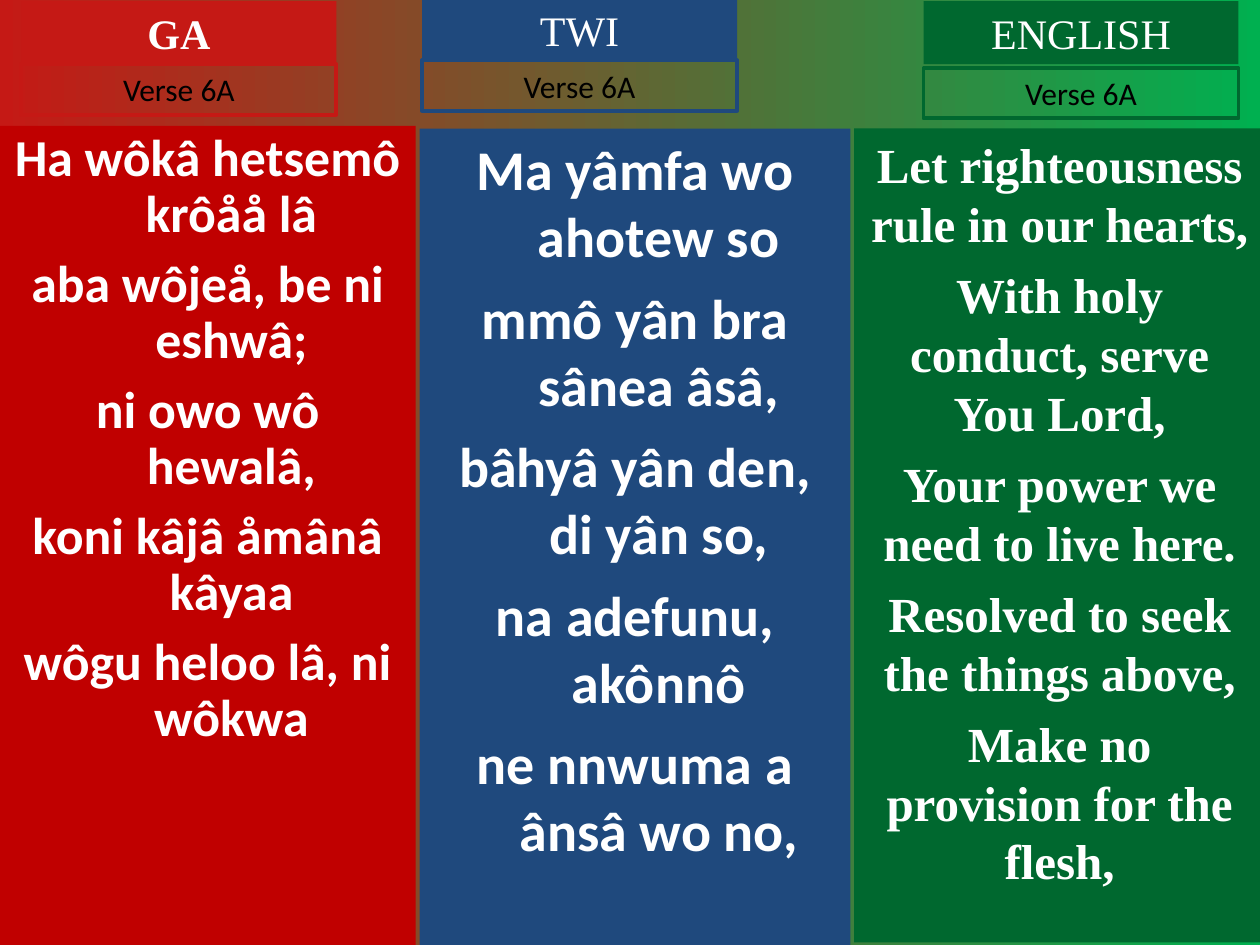
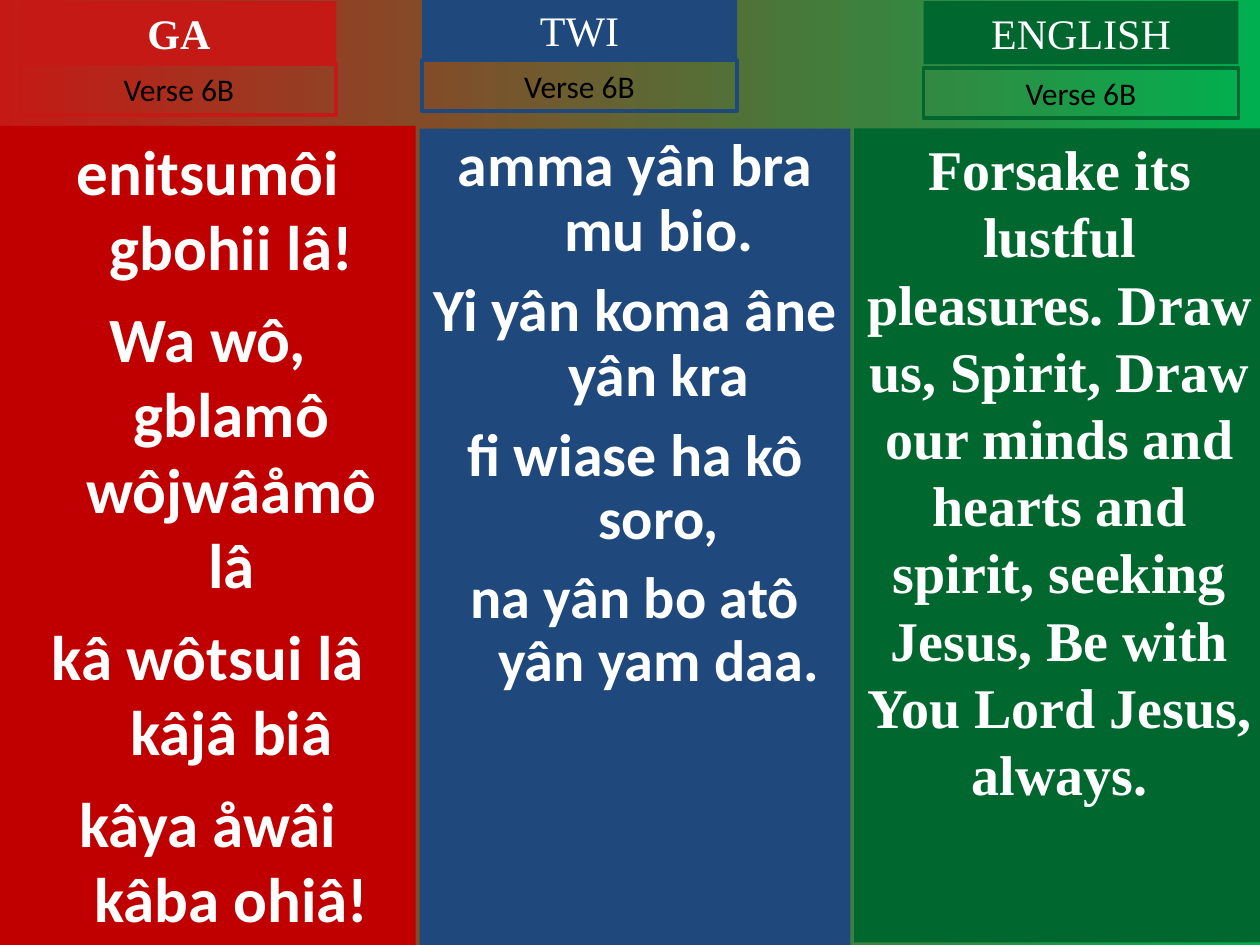
"""Build two trilingual hymn slides with one coloured column per language."""
import dataclasses

import pptx
import pptx.dml.color
import pptx.enum.shapes
import pptx.enum.text
import pptx.util

Pt = pptx.util.Pt


@dataclasses.dataclass(frozen=True)
class Theme:
    """Colours, fonts and type sizes shared by both slides."""
    bright_red: str = "C51915"
    red: str = "C00000"
    blue: str = "1F497D"
    green: str = "00682F"
    bright_green: str = "00B050"
    white: str = "FFFFFF"
    black: str = "000000"
    sans: str = "Calibri"
    serif: str = "Times New Roman"
    heading_size: float = 24
    label_size: float = 18
    border: float = 2.25
    hanging: float = 27


@dataclasses.dataclass(frozen=True)
class Language:
    """Place and look of one language's heading, label and lyrics column."""
    name: str
    accent: str
    column_fill: str
    font: str
    heading_at: tuple
    label_top: float
    column_at: tuple
    bold_heading: bool = False
    hanging: bool = True


@dataclasses.dataclass(frozen=True)
class Lyrics:
    """Lines of one column; a line is a string or a list of (text, size) runs."""
    size: float
    before: float
    lines: list
    spacing: float = 1.0


THEME = Theme()
BAR_WIDTH, HEADING_HEIGHT, LABEL_HEIGHT = 180, 36, 28.8

LANGUAGES = [
    Language("GA", THEME.bright_red, THEME.red, THEME.sans,
             (12.24, 0.72), 36.72, (0, 72, 237.6, 468), bold_heading=True),
    Language("TWI", THEME.blue, THEME.blue, THEME.sans,
             (241.2, -0.72), 34.56, (239.76, 73.44, 246.24, 466.56)),
    Language("ENGLISH", THEME.green, THEME.green, THEME.serif,
             (527.76, 0.72), 38.88, (488.16, 73.44, 234.72, 465.12), hanging=False),
]

VERSES = {
    "Verse 6A": [
        Lyrics(29.6, 8, [
            "Ha wôkâ hetsemô krôåå lâ",
            "aba wôjeå, be ni eshwâ;",
            "ni owo wô hewalâ,",
            "koni kâjâ åmânâ kâyaa",
            "wôgu heloo lâ, ni wôkwa",
        ], spacing=0.9),
        Lyrics(32, 8, [
            "Ma yâmfa wo ahotew so",
            "mmô yân bra sânea âsâ,",
            "bâhyâ yân den, di yân so,",
            "na adefunu, akônnô",
            "ne nnwuma a ânsâ wo no,",
        ]),
        Lyrics(28, 7, [
            "Let righteousness rule in our hearts,",
            "With holy conduct, serve You Lord,",
            "Your power we need to live here.",
            "Resolved to seek the things above,",
            "Make no provision for the flesh,",
        ]),
    ],
    "Verse 6B": [
        Lyrics(36, 9, [
            "enitsumôi gbohii lâ!",
            "Wa wô, gblamô wôjwâåmô lâ",
            "kâ wôtsui lâ kâjâ biâ",
            "kâya åwâi kâba ohiâ!",
        ]),
        Lyrics(34.2, 9, [
            "amma yân bra mu bio.",
            "Yi yân koma âne yân kra",
            [("fi wiase ha ", 34.2), ("kô soro,", 33.3)],
            [("na yân bo atô yân yam daa.", 33.3)],
        ], spacing=0.9),
        Lyrics(32, 8, [
            "Forsake its lustful pleasures. Draw us, Spirit, Draw our minds and "
            "hearts and spirit, seeking Jesus, Be with You Lord Jesus, always.",
        ]),
    ],
}


def rgb(color):
    """Return the RGB colour for a hex string."""
    return pptx.dml.color.RGBColor.from_string(color)


def set_background(master):
    """Give the master a left-to-right red to green gradient."""
    fill = master.background.fill
    fill.gradient()
    fill.gradient_angle = 0
    for stop, color in zip(fill.gradient_stops, (THEME.bright_red, THEME.bright_green)):
        stop.color.rgb = rgb(color)


def add_box(slide, at, fill=None, line=None):
    """Add a rectangle with top-anchored, wrapping text and return it."""
    sp = slide.shapes.add_shape(pptx.enum.shapes.MSO_SHAPE.RECTANGLE, *map(Pt, at))
    sp.shadow.inherit = False
    if fill:
        sp.fill.solid()
        sp.fill.fore_color.rgb = rgb(fill)
    else:
        sp.fill.background()
    if line:
        sp.line.color.rgb = rgb(line)
        sp.line.width = Pt(THEME.border)
    else:
        sp.line.fill.background()
    tf = sp.text_frame
    tf.word_wrap = True
    tf.vertical_anchor = pptx.enum.text.MSO_ANCHOR.TOP
    return sp


def style_paragraph(p, font, size, color, bold=False):
    """Centre a paragraph and set its font."""
    p.alignment = pptx.enum.text.PP_ALIGN.CENTER
    p.font.name = font
    p.font.size = Pt(size)
    p.font.bold = bold
    p.font.color.rgb = rgb(color)


def add_bar(slide, at, text, font, size, color, bold=False, **look):
    """Add a one-line bar that fits its text."""
    tf = add_box(slide, at, **look).text_frame
    tf.auto_size = pptx.enum.text.MSO_AUTO_SIZE.SHAPE_TO_FIT_TEXT
    p = tf.paragraphs[0]
    p.text = text
    style_paragraph(p, font, size, color, bold)


def add_column(slide, language, lyrics):
    """Add a full-height lyrics column."""
    tf = add_box(slide, language.column_at, fill=language.column_fill).text_frame
    for i, line in enumerate(lyrics.lines):
        p = tf.add_paragraph() if i else tf.paragraphs[0]
        p.space_before = Pt(lyrics.before if i else 0)
        p.line_spacing = lyrics.spacing
        if language.hanging:
            pPr = p._p.get_or_add_pPr()
            pPr.set("marL", str(Pt(THEME.hanging)))
            pPr.set("indent", str(-Pt(THEME.hanging)))
        style_paragraph(p, language.font, lyrics.size, THEME.white, bold=True)
        if isinstance(line, str):
            p.add_run().text = line
            continue
        for text, size in line:
            r = p.add_run()
            r.text = text
            r.font.size = Pt(size)


def add_verse_slide(prs, verse, columns):
    """Add one slide showing a verse in every language."""
    slide = prs.slides.add_slide(prs.slide_layouts[6])
    for language, lyrics in zip(LANGUAGES, columns):
        left, top = language.heading_at
        add_column(slide, language, lyrics)
        add_bar(slide, (left, top, BAR_WIDTH, HEADING_HEIGHT), language.name,
                THEME.serif, THEME.heading_size, THEME.white,
                bold=language.bold_heading, fill=language.accent)
        add_bar(slide, (left, language.label_top, BAR_WIDTH, LABEL_HEIGHT), verse,
                THEME.sans, THEME.label_size, THEME.black, line=language.accent)


def main():
    """Build and save the presentation."""
    prs = pptx.Presentation()
    prs.slide_width, prs.slide_height = Pt(720), Pt(540)
    set_background(prs.slide_master)
    for verse, columns in VERSES.items():
        add_verse_slide(prs, verse, columns)
    prs.save("out.pptx")


if __name__ == "__main__":
    main()
